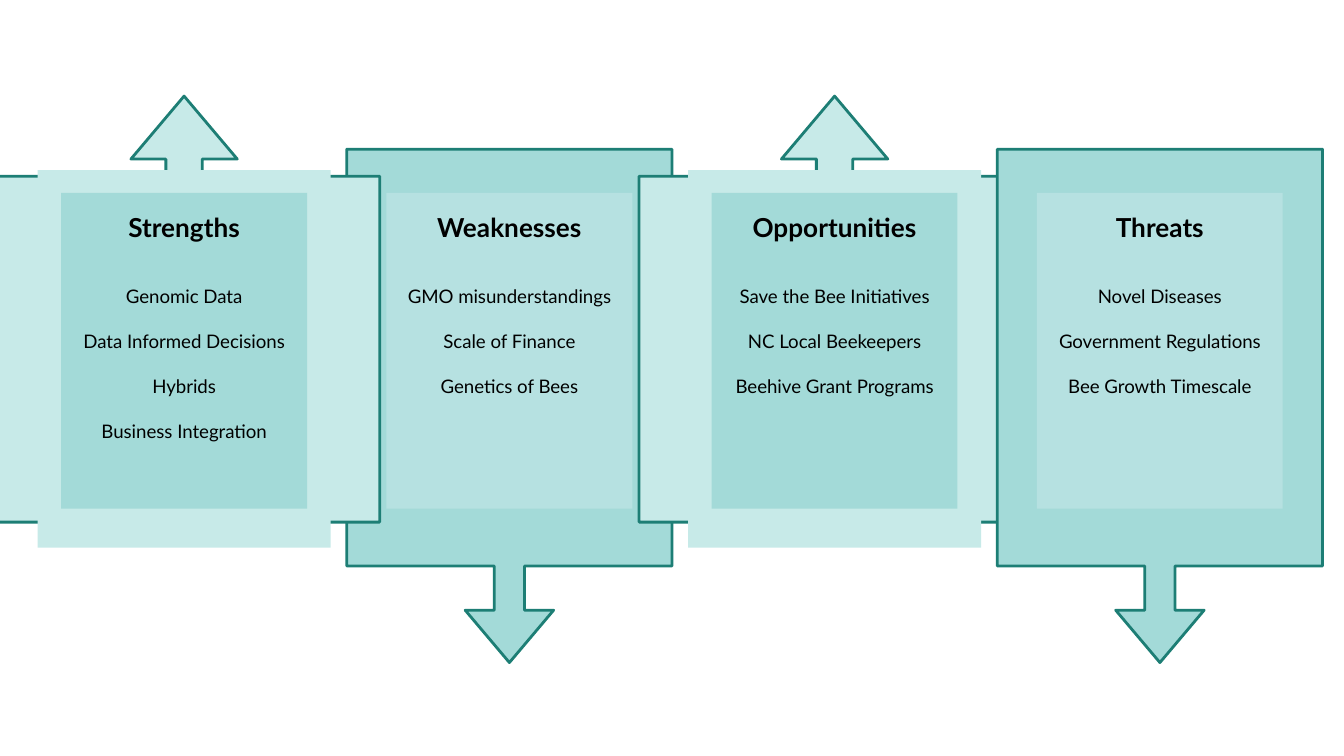
import pptx
import pptx.dml.color
import pptx.enum.shapes
import pptx.enum.text
import pptx.util

Inches = pptx.util.Inches
Pt = pptx.util.Pt
RGBColor = pptx.dml.color.RGBColor
Shape = pptx.enum.shapes.MSO_SHAPE

TEAL = RGBColor(0xA3, 0xDA, 0xD8)
PALE_TEAL = RGBColor(0xC7, 0xEA, 0xE8)
SOFT_TEAL = RGBColor(0xB6, 0xE1, 0xE1)
DARK_TEAL = RGBColor(0x1D, 0x7E, 0x75)
BLACK = RGBColor(0, 0, 0)

FIRST_CENTER = 1.37
COLUMN_PITCH = 2.42
CALLOUT_ADJUSTMENTS = (0.093, 0.136, 0.161, 0.812)

PANELS = [
    (1, "Weaknesses", ["GMO misunderstandings", "Scale of Finance", "Genetics of Bees"]),
    (2, "Opportunities",
     ["Save the Bee Initiatives", "NC Local Beekeepers", "Beehive Grant Programs"]),
    (3, "Threats", ["Novel Diseases", "Government Regulations", "Bee Growth Timescale"]),
    (0, "Strengths",
     ["Genomic Data", "Data Informed Decisions", "Hybrids", "Business Integration"]),
]


def add_filled_shape(page, kind, center_x, center_y, width, height, color):
    shape = page.shapes.add_shape(
        kind, Inches(center_x - width / 2), Inches(center_y - height / 2),
        Inches(width), Inches(height))
    shape.shadow.inherit = False
    shape.fill.solid()
    shape.fill.fore_color.rgb = color
    shape.line.fill.background()
    return shape


def add_arrow_callout(page, center_x, points_up, color):
    center_y, width, height, angle = (
        (2.3, 3.17, 2.91, 270) if points_up else (3.02, 3.82, 2.42, 90))
    callout = add_filled_shape(
        page, Shape.RIGHT_ARROW_CALLOUT, center_x, center_y, width, height, color)
    callout.rotation = angle
    for index, value in enumerate(CALLOUT_ADJUSTMENTS):
        callout.adjustments[index] = value
    callout.line.color.rgb = DARK_TEAL
    callout.line.width = Pt(1.5)


def add_backing(page, center_x, color):
    backing = add_filled_shape(
        page, Shape.SNIP_1_RECTANGLE, center_x, 2.67, 2.18, 2.81, color)
    backing.adjustments[0] = 0


def add_line_of_text(para, text, size, bold, spacing):
    para.alignment = pptx.enum.text.PP_ALIGN.CENTER
    para.line_spacing = spacing
    span = para.add_run()
    span.text = text
    span.font.name = "Lato"
    span.font.size = Pt(size)
    span.font.bold = bold
    span.font.color.rgb = BLACK


def add_text_card(page, center_x, color, heading, items):
    box = add_filled_shape(page, Shape.RECTANGLE, center_x, 2.61, 1.83, 2.35, color)
    frame = box.text_frame
    frame.word_wrap = True
    frame.vertical_anchor = pptx.enum.text.MSO_ANCHOR.TOP
    frame.margin_left = frame.margin_right = Inches(0.1)
    frame.margin_top = frame.margin_bottom = Inches(0.1)
    add_line_of_text(frame.paragraphs[0], heading, 14, True, 1.15)
    for index, item in enumerate(items):
        para = frame.add_paragraph()
        add_line_of_text(para, item, 10, False, 2.0)
        para.space_before = Pt(11 if index == 0 else 0)


def add_panel(page, column, heading, items):
    center_x = FIRST_CENTER + column * COLUMN_PITCH
    points_up = column % 2 == 0
    frame_color, card_color = (PALE_TEAL, TEAL) if points_up else (TEAL, SOFT_TEAL)
    add_arrow_callout(page, center_x, points_up, frame_color)
    add_backing(page, center_x, frame_color)
    add_text_card(page, center_x, card_color, heading, items)


def main():
    deck = pptx.Presentation()
    deck.slide_width = Inches(10)
    deck.slide_height = Inches(10 * 9 / 16)
    page = deck.slides.add_slide(deck.slide_layouts[6])
    for column, heading, items in PANELS:
        add_panel(page, column, heading, items)
    deck.save("out.pptx")


if __name__ == "__main__":
    main()
